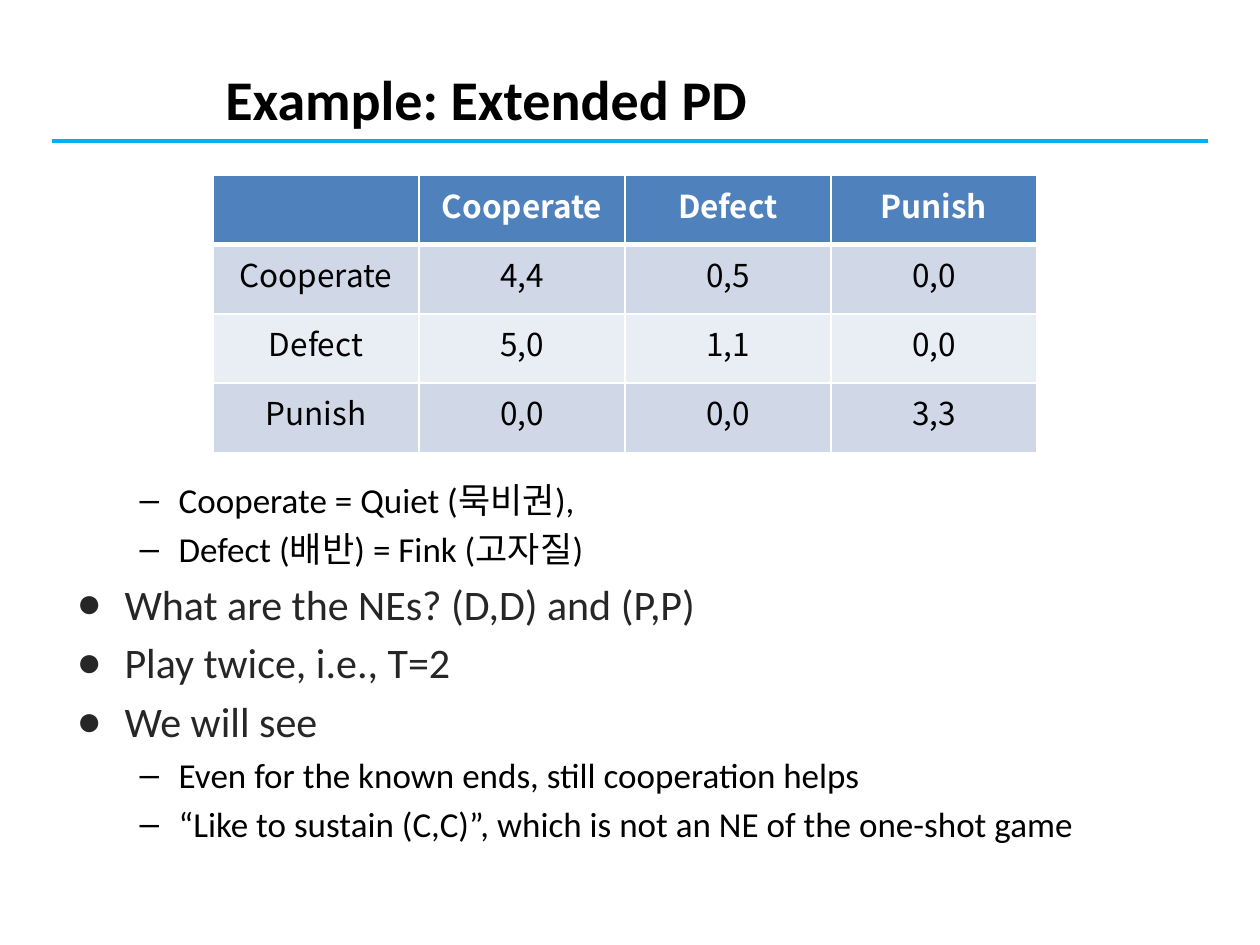
from dataclasses import dataclass

from lxml.etree import SubElement
from pptx import Presentation
from pptx.dml.color import RGBColor
from pptx.enum.shapes import MSO_CONNECTOR
from pptx.enum.text import MSO_ANCHOR, PP_ALIGN
from pptx.oxml import parse_xml
from pptx.oxml.ns import nsdecls, qn
from pptx.util import Inches, Pt

# Content
TITLE = "Example: Extended PD"
MOVES = ["Cooperate", "Defect", "Punish"]
PAYOFFS = [
    ["4,4", "0,5", "0,0"],
    ["5,0", "1,1", "0,0"],
    ["0,0", "0,0", "3,3"],
]
NOTES = [
    (1, "Cooperate = Quiet (묵비권),"),
    (1, "Defect (배반) = Fink (고자질)"),
    (0, "What are the NEs? (D,D) and (P,P)"),
    (0, "Play twice, i.e., T=2"),
    (0, "We will see"),
    (1, "Even for the known ends, still cooperation helps"),
    (1, "“Like to sustain (C,C)”, which is not an NE of the one-shot game"),
]


@dataclass
class Theme:
    font: str = "Calibri"
    grid: str = "Noto Sans CJK KR"
    ink: str = "000000"
    soft: str = "262626"
    white: str = "FFFFFF"
    rule: str = "00B0F0"
    head: str = "4F81BD"
    bands: tuple = ("D0D8E8", "E9EDF4")
    title: int = 32
    cell: int = 18


T = Theme()
# Per level: bullet, left margin, hanging indent, size, colour
LEVELS = [("●", 0.38, 0.38, 24, T.soft), ("–", 0.81, 0.31, 20, T.ink)]

# Layout: the title and the table share one left edge
WIDE, HIGH = 10, 7.5
EDGE = 1.69
RULE_Y, RULE_X = 1.12, 0.41
TABLE_Y, TABLE_W, TABLE_H = 1.39, 6.54, 2.2


def write(para, text, size, color=T.ink, font=T.font, bold=False,
          align=PP_ALIGN.LEFT):
    """Put one formatted run into a paragraph."""
    para.alignment = align
    run = para.add_run()
    run.text = text
    run.font.size = Pt(size)
    run.font.bold = bold
    run.font.name = font
    run.font.color.rgb = RGBColor.from_string(color)
    SubElement(run.font._element, qn("a:ea")).set("typeface", font)


def add_box(slide, left, top, width, height):
    box = slide.shapes.add_textbox(*map(Inches, (left, top, width, height)))
    box.text_frame.word_wrap = True
    box.text_frame.vertical_anchor = MSO_ANCHOR.TOP
    return box.text_frame


def set_bullet(para, level):
    mark, left, hang = LEVELS[level][:3]
    para.level = level
    props = para._p.get_or_add_pPr()
    props.set("marL", str(Inches(left)))
    props.set("indent", str(-Inches(hang)))
    space = SubElement(props, qn("a:spcBef"))
    SubElement(space, qn("a:spcPct")).set("val", "20000")
    SubElement(props, qn("a:buFont")).set("typeface", "Arial")
    SubElement(props, qn("a:buChar")).set("char", mark)


def set_cell(cell, fill, top, base):
    """Fill a cell and draw its four borders."""
    cell.fill.solid()
    cell.fill.fore_color.rgb = RGBColor.from_string(fill)
    props = cell._tc.get_or_add_tcPr()
    sides = [("L", 1), ("R", 1), ("T", top), ("B", base)]
    for spot, (side, width) in enumerate(sides):
        props.insert(spot, parse_xml(
            f'<a:ln{side} {nsdecls("a")} w="{Pt(width)}"><a:solidFill>'
            f'<a:srgbClr val="{T.white}"/></a:solidFill></a:ln{side}>'))


def add_grid(slide):
    rows = [[""] + MOVES] + [[m] + p for m, p in zip(MOVES, PAYOFFS)]
    count, span = len(rows), len(rows[0])
    frame = slide.shapes.add_table(
        count, span, *map(Inches, (EDGE, TABLE_Y, TABLE_W, TABLE_H)))
    table = frame.table
    for col in table.columns:
        col.width = Inches(TABLE_W / span)
    for r, row in enumerate(rows):
        table.rows[r].height = Inches(TABLE_H / count)
        head = r == 0
        fill = T.head if head else T.bands[(r - 1) % 2]
        for c, text in enumerate(row):
            cell = table.cell(r, c)
            set_cell(cell, fill, 3 if r == 1 else 1, 3 if head else 1)
            if text:
                write(cell.text_frame.paragraphs[0], text, T.cell,
                      color=T.white if head else T.ink, font=T.grid,
                      bold=head, align=PP_ALIGN.CENTER)


def main():
    deck = Presentation()
    deck.slide_width, deck.slide_height = Inches(WIDE), Inches(HIGH)
    slide = deck.slides.add_slide(deck.slide_layouts[6])

    # Rule under the title
    rule = slide.shapes.add_connector(
        MSO_CONNECTOR.STRAIGHT,
        *map(Inches, (RULE_X, RULE_Y, WIDE - RULE_X, RULE_Y)))
    rule.line.color.rgb = RGBColor.from_string(T.rule)
    rule.line.width = Pt(2.25)
    SubElement(rule._element.spPr, qn("a:effectLst"))

    # Notes
    body = add_box(slide, 0.51, 3.75, 8.95, 3.27)
    for i, (level, text) in enumerate(NOTES):
        para = body.add_paragraph() if i else body.paragraphs[0]
        set_bullet(para, level)
        size, color = LEVELS[level][3:]
        write(para, text, size, color=color)

    # Title
    head = add_box(slide, EDGE, 0.44, 7.8, 0.59)
    head.margin_top = Inches(0.07)
    write(head.paragraphs[0], TITLE, T.title, bold=True)

    # Payoff table
    add_grid(slide)
    deck.save("out.pptx")


if __name__ == "__main__":
    main()
